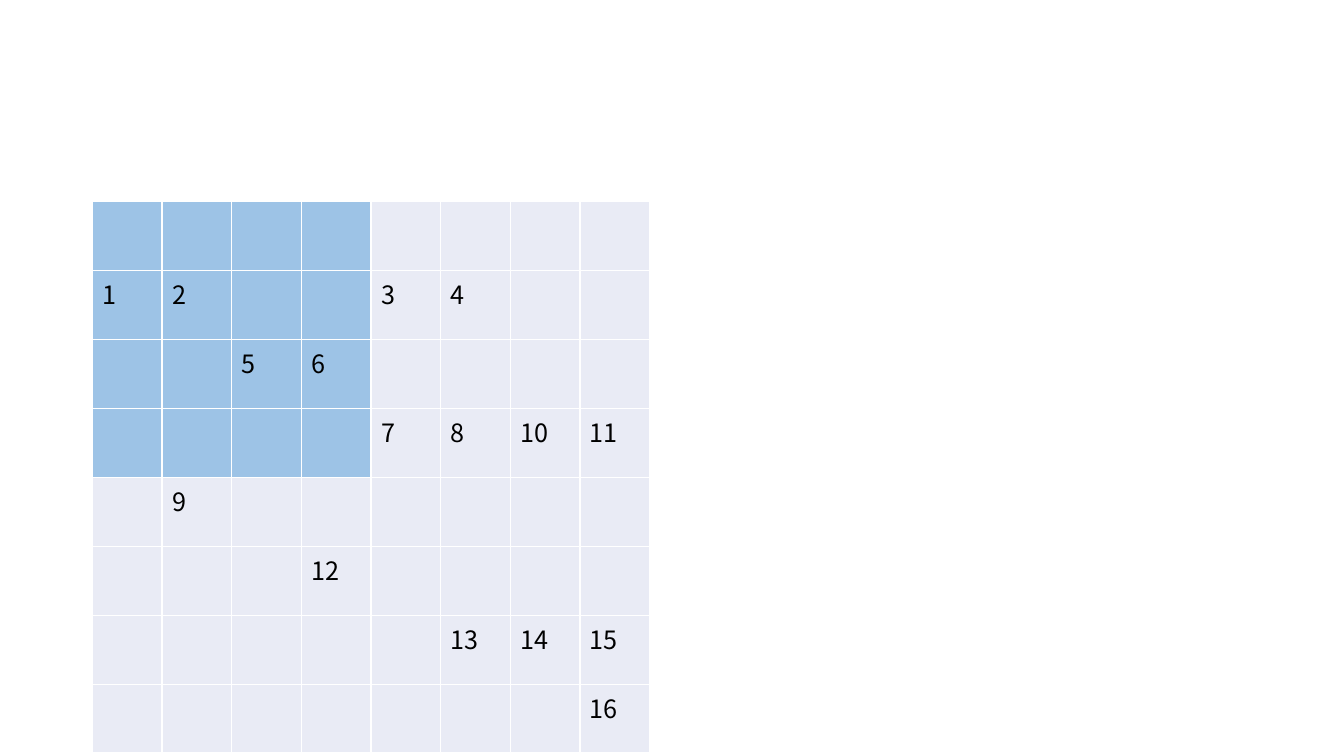
"""Build a slide with a numbered 8 by 8 grid and a highlighted quadrant."""
import lxml.etree
import pptx
import pptx.dml.color
import pptx.oxml.ns
import pptx.util

Pt = pptx.util.Pt
COLORS = {"highlight": "9DC3E6", "plain": "E9EBF5", "border": "FFFFFF", "text": "000000"}
FONT = "Noto Sans CJK SC"
GRID_SIZE = 8
QUADRANT_SIZE = 4
COLUMN_WIDTH = 49.75
ROW_HEIGHT = 49.25
NUMBERS = {
    (1, 0): 1, (1, 1): 2, (1, 4): 3, (1, 5): 4,
    (2, 2): 5, (2, 3): 6,
    (3, 4): 7, (3, 5): 8, (3, 6): 10, (3, 7): 11,
    (4, 1): 9,
    (5, 3): 12,
    (6, 5): 13, (6, 6): 14, (6, 7): 15,
    (7, 7): 16,
}


def rgb(name):
    return pptx.dml.color.RGBColor.from_string(COLORS[name])


def set_borders(cell, width):
    properties = cell._tc.get_or_add_tcPr()
    qn = pptx.oxml.ns.qn
    for index, side in enumerate(("lnL", "lnR", "lnT", "lnB")):
        line = lxml.etree.Element(qn(f"a:{side}"), w=str(Pt(width)))
        fill = lxml.etree.SubElement(line, qn("a:solidFill"))
        lxml.etree.SubElement(fill, qn("a:srgbClr"), val=COLORS["border"])
        properties.insert(index, line)


def format_cell(cell, row, column):
    in_quadrant = max(row, column) < QUADRANT_SIZE
    cell.fill.solid()
    cell.fill.fore_color.rgb = rgb("highlight" if in_quadrant else "plain")
    set_borders(cell, 1)
    cell.text_frame.text = str(NUMBERS.get((row, column), ""))
    font = cell.text_frame.paragraphs[0].font
    for target in [font] + [run.font for run in cell.text_frame.paragraphs[0].runs]:
        target.name = FONT
        target.size = Pt(18)
        target.bold = False
        target.color.rgb = rgb("text")


def add_number_grid(slide, left, top):
    shape = slide.shapes.add_table(
        GRID_SIZE, GRID_SIZE, Pt(left), Pt(top),
        Pt(GRID_SIZE * COLUMN_WIDTH), Pt(GRID_SIZE * ROW_HEIGHT))
    table = shape.table
    table.first_row = False
    table.horz_banding = False
    for column in table.columns:
        column.width = Pt(COLUMN_WIDTH)
    for row in table.rows:
        row.height = Pt(ROW_HEIGHT)
    for row in range(GRID_SIZE):
        for column in range(GRID_SIZE):
            format_cell(table.cell(row, column), row, column)


def main():
    presentation = pptx.Presentation()
    presentation.slide_width = Pt(960)
    presentation.slide_height = Pt(540)
    slide = presentation.slides.add_slide(presentation.slide_layouts[6])
    add_number_grid(slide, 66, 144)
    presentation.save("out.pptx")


if __name__ == "__main__":
    main()
